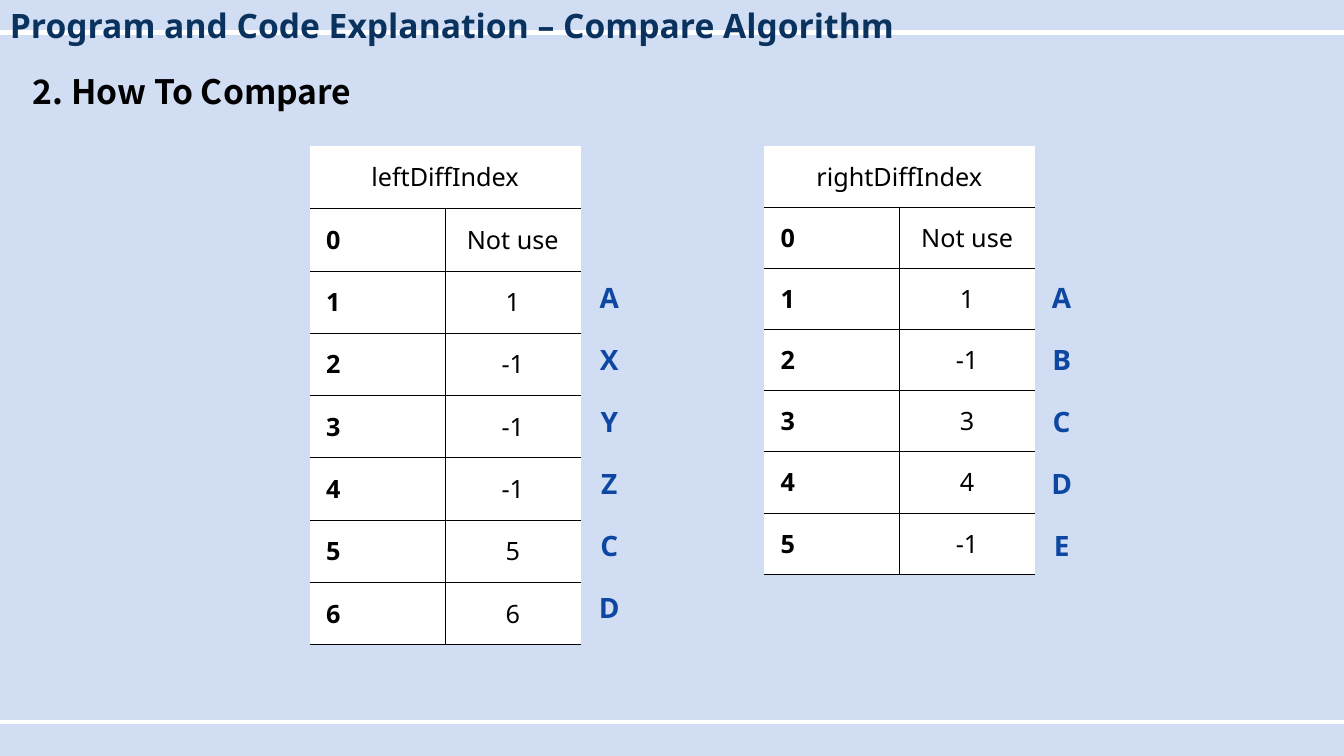
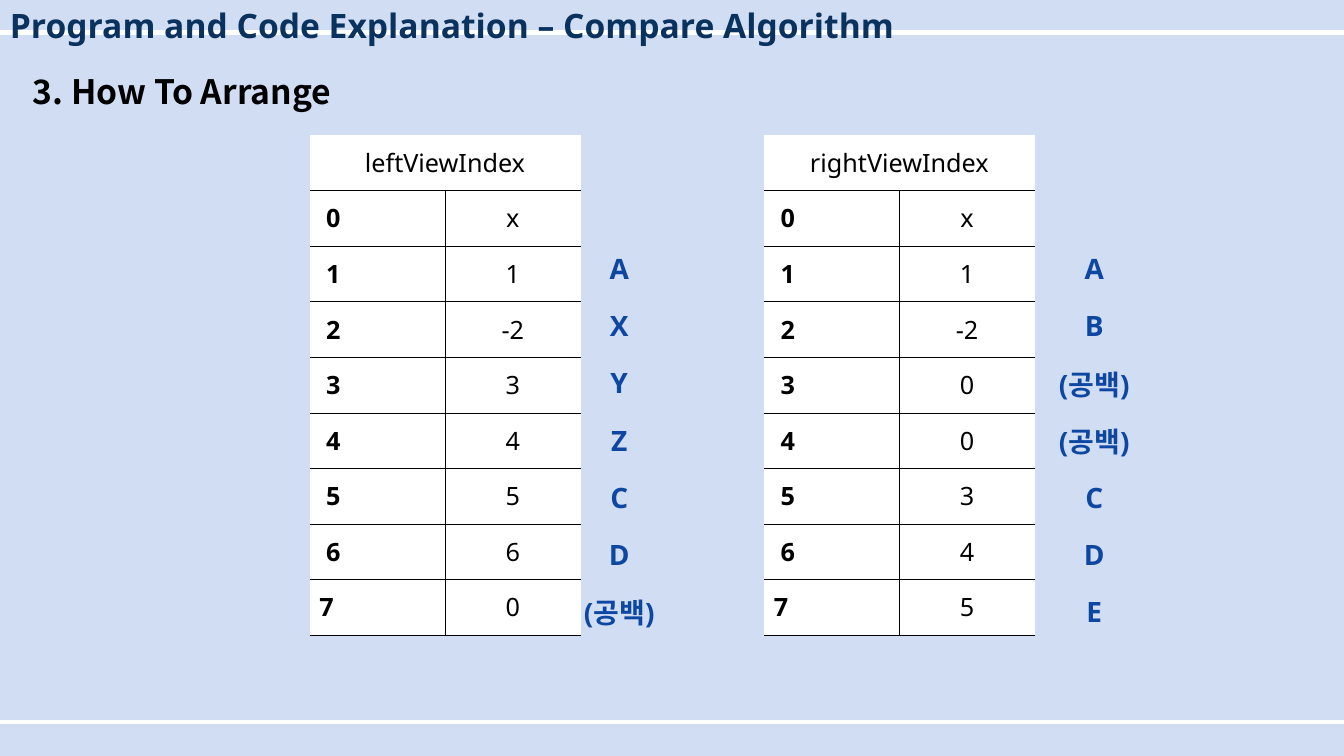
"""Build two slides that compare and arrange index tables."""
from lxml.etree import SubElement
from pptx import Presentation
from pptx.dml.color import RGBColor
from pptx.enum.shapes import MSO_CONNECTOR as CONN
from pptx.enum.text import MSO_ANCHOR as ANCHOR, MSO_AUTO_SIZE as AUTO, PP_ALIGN as ALIGN
from pptx.oxml import parse_xml
from pptx.oxml.ns import nsdecls, qn
from pptx.util import Cm, Pt

COLORS = {"back": "D1DDF3", "white": "FFFFFF", "title": "0A325E",
          "black": "000000", "label": "0D47A1"}
SANS, SANS_KR = "Noto Sans", "Noto Sans CJK KR"
TITLE = "Program and Code Explanation – Compare Algorithm"
PLAIN_TABLE = "{2D5ABB26-0587-4C30-8999-92F81FD0307C}"
WIDTH, HEIGHT = 33.87, 19.05
TABLE_X = (7.8, 19.25)
TABLE_W, LABEL_W = 6.83, 2.97
BLANK = "(공백)"

SLIDES = [
    {"heading": "2. How To Compare", "top": 3.68, "label_top": 6.73,
     "label_x": (13.87, 25.27), "label_row": 1.56, "rows": (1.57, 1.54),
     "tables": [
         ("leftDiffIndex", ["Not use", "1", "-1", "-1", "-1", "5", "6"]),
         ("rightDiffIndex", ["Not use", "1", "-1", "3", "4", "-1"])],
     "labels": ["AXYZCD", "ABCDE"]},
    {"heading": "3. How To Arrange", "top": 3.4, "label_top": 6.05,
     "label_x": (14.12, 26.09), "label_row": 1.44, "rows": (1.4, 1.4),
     "tables": [
         ("leftViewIndex", ["x", "1", "-2", "3", "4", "5", "6", "0"]),
         ("rightViewIndex", ["x", "1", "-2", "0", "0", "3", "4", "5"])],
     "labels": [[*"AXYZCD", BLANK], [*"AB", BLANK, BLANK, *"CDE"]]},
]


def rgb(name):
    return RGBColor.from_string(COLORS[name])


def add_run(p, text, size, color, bold=False, font=SANS):
    r = p.add_run()
    r.text = text
    r.font.size, r.font.bold, r.font.name = Pt(size), bold, font
    r.font.color.rgb = rgb(color)
    SubElement(r.font._element, qn("a:ea"), typeface=SANS_KR)


def add_text(s, x, y, w, text, color, font):
    sp = s.shapes.add_textbox(Cm(x), Cm(y), Cm(w), Cm(1.28))
    tf = sp.text_frame
    tf.word_wrap, tf.auto_size = True, AUTO.SHAPE_TO_FIT_TEXT
    add_run(tf.paragraphs[0], text, 24, color, True, font)


def add_rule(s, y):
    line = s.shapes.add_connector(CONN.STRAIGHT, 0, Cm(y), Cm(WIDTH), Cm(y))
    line.line.width = Pt(3)
    line.line.color.rgb = rgb("white")
    SubElement(line._element.spPr, qn("a:effectLst"))


def add_grid(s, rows, cols, x, y, w, row_h):
    tbl = s.shapes.add_table(rows, cols, Cm(x), Cm(y), Cm(w), Cm(row_h * rows)).table
    tbl.first_row = tbl.horz_banding = False
    tbl._tbl.tblPr.find(qn("a:tableStyleId")).text = PLAIN_TABLE
    return tbl


def fill_cell(cell, text, size, color, bold=False, align=ALIGN.CENTER):
    cell.vertical_anchor = ANCHOR.MIDDLE
    p = cell.text_frame.paragraphs[0]
    p.alignment = align
    add_run(p, text, size, color, bold)


def style_cell(cell, sides):
    tc_pr = cell._tc.get_or_add_tcPr()
    for side in sides:
        tc_pr.append(parse_xml(
            f'<a:ln{side} {nsdecls("a")} w="{Pt(0.25)}"><a:solidFill>'
            f'<a:srgbClr val="{COLORS["black"]}"/></a:solidFill></a:ln{side}>'))
    cell.fill.solid()
    cell.fill.fore_color.rgb = rgb("white")


def add_index_table(s, x, y, row_h, name, values):
    tbl = add_grid(s, len(values) + 1, 2, x, y, TABLE_W, row_h)
    head = tbl.cell(0, 0)
    head.merge(tbl.cell(0, 1))
    fill_cell(head, name, 18, "black")
    for col in range(2):
        style_cell(tbl.cell(0, col), "B")
    for i, value in enumerate(values):
        index, entry = tbl.cell(i + 1, 0), tbl.cell(i + 1, 1)
        fill_cell(index, str(i), 18, "black", True, ALIGN.LEFT)
        index.margin_left = Cm(0.25 if i == 7 else 0.42)
        fill_cell(entry, value, 18, "black")
        style_cell(index, "RB")
        style_cell(entry, "LB")


def add_labels(s, x, y, row_h, labels):
    tbl = add_grid(s, len(labels), 1, x, y, LABEL_W, row_h)
    for i, label in enumerate(labels):
        cell = tbl.cell(i, 0)
        fill_cell(cell, label, 20, "label", True)
        cell.fill.background()


def add_base(prs, heading):
    s = prs.slides.add_slide(prs.slide_layouts[6])
    s.background.fill.solid()
    s.background.fill.fore_color.rgb = rgb("back")
    for y in (0.82, 18.19):
        add_rule(s, y)
    add_text(s, 0, 0, 28, TITLE, "title", SANS)
    add_text(s, 0.58, 1.65, 21, heading, "black", SANS_KR)
    return s


def main():
    prs = Presentation()
    prs.slide_width, prs.slide_height = Cm(WIDTH), Cm(HEIGHT)
    for page in SLIDES:
        s = add_base(prs, page["heading"])
        for x, row_h, (name, values) in zip(TABLE_X, page["rows"], page["tables"]):
            add_index_table(s, x, page["top"], row_h, name, values)
        for x, labels in zip(page["label_x"], page["labels"]):
            add_labels(s, x, page["label_top"], page["label_row"], labels)
    prs.save("out.pptx")


if __name__ == "__main__":
    main()
